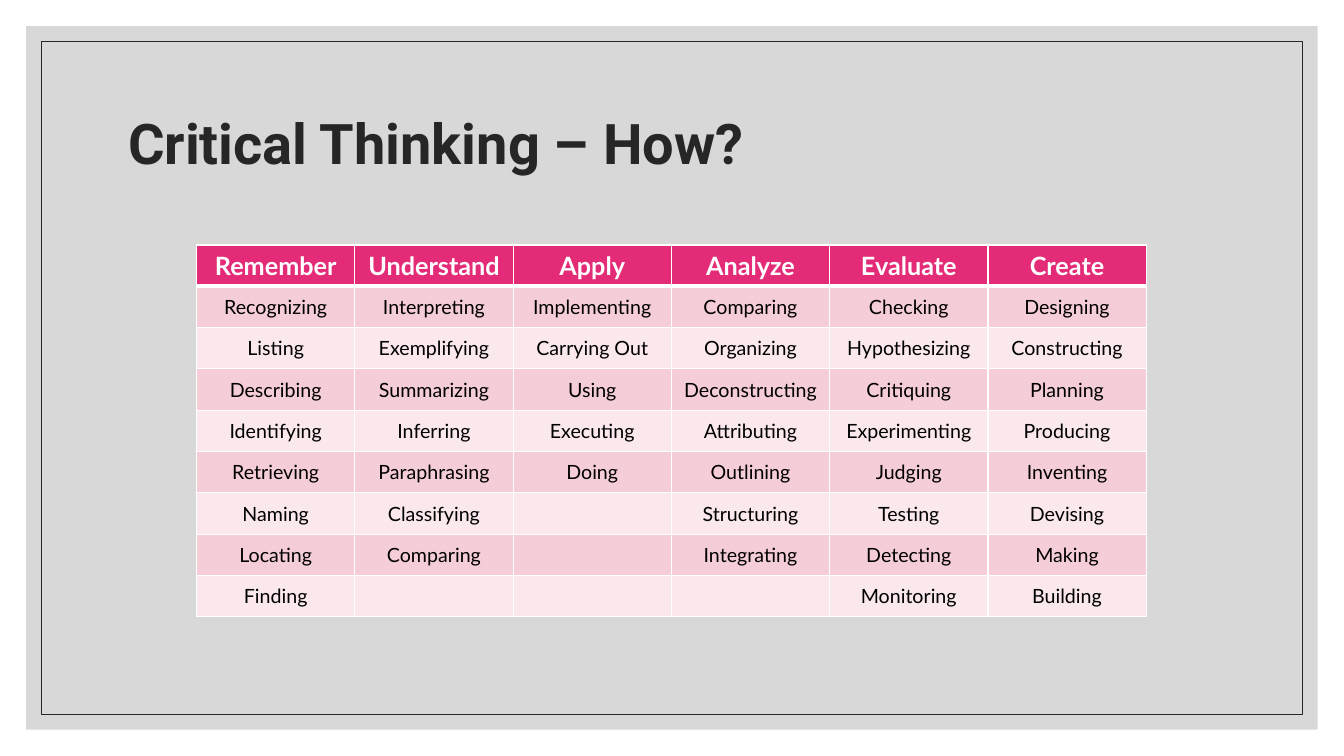
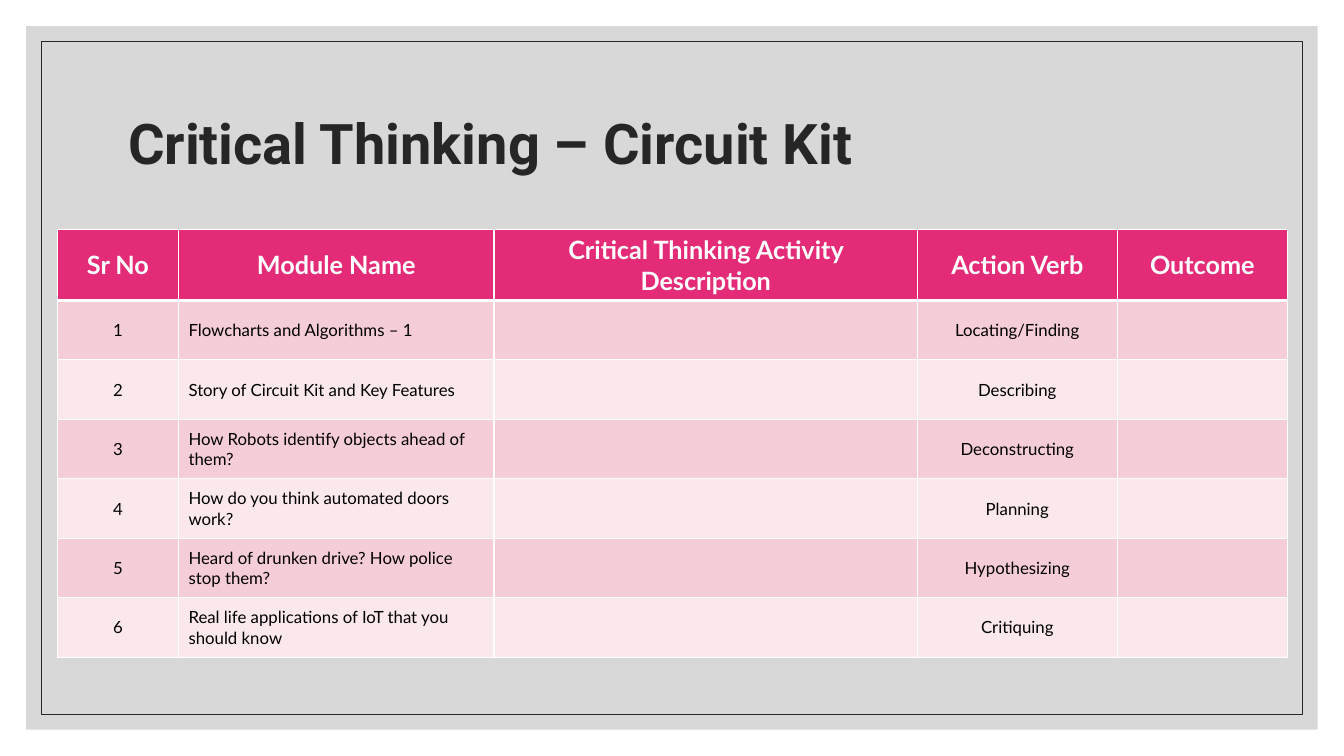
from itertools import zip_longest

from lxml.etree import SubElement
from pptx import Presentation
from pptx.dml.color import RGBColor
from pptx.enum.shapes import MSO_SHAPE as Shape
from pptx.enum.text import MSO_ANCHOR as Anchor, PP_ALIGN as Align
from pptx.oxml.ns import qn
from pptx.util import Inches, Pt

# Palette and fonts
WHITE = RGBColor(0xFF, 0xFF, 0xFF)
BLACK = RGBColor(0x00, 0x00, 0x00)
INK = RGBColor(0x26, 0x26, 0x26)
GREY = RGBColor(0xBF, 0xBF, 0xBF)
PINK = RGBColor(0xE4, 0x2B, 0x77)
BANDS = (RGBColor(0xF5, 0xCD, 0xD6), RGBColor(0xFA, 0xE8, 0xEC))
TITLE_FONT = "Roboto"
BODY_FONT = "Lato"

# Slide content
THINKING_VERBS = {
    "Remember": ["Recognizing", "Listing", "Describing", "Identifying",
                 "Retrieving", "Naming", "Locating", "Finding"],
    "Understand": ["Interpreting", "Exemplifying", "Summarizing", "Inferring",
                   "Paraphrasing", "Classifying", "Comparing"],
    "Apply": ["Implementing", "Carrying Out", "Using", "Executing", "Doing"],
    "Analyze": ["Comparing", "Organizing", "Deconstructing", "Attributing",
                "Outlining", "Structuring", "Integrating"],
    "Evaluate": ["Checking", "Hypothesizing", "Critiquing", "Experimenting",
                 "Judging", "Testing", "Detecting", "Monitoring"],
    "Create": ["Designing", "Constructing", "Planning", "Producing",
               "Inventing", "Devising", "Making", "Building"],
}
MODULE_HEADINGS = ["Sr No", "Module Name",
                   "Critical Thinking Activity Description",
                   "Action Verb", "Outcome"]
MODULES = [
    ("Flowcharts and Algorithms – 1", "Locating/Finding"),
    ("Story of Circuit Kit and Key Features", "Describing"),
    ("How Robots identify objects ahead of them?", "Deconstructing"),
    ("How do you think automated doors work?", "Planning"),
    ("Heard of drunken drive? How police stop them?", "Hypothesizing"),
    ("Real life applications of IoT that you should know", "Critiquing"),
]


class Deck:
    """Holds the shared style and the slide being filled."""

    def __init__(self):
        self.prs = Presentation()
        self.prs.slide_width = Inches(13.33)
        self.prs.slide_height = Inches(7.5)
        self.slide = None

    def add_slide(self, title):
        self.slide = self.prs.slides.add_slide(self.prs.slide_layouts[5])
        self.add_frame()
        self.set_title(title)

    def add_panel(self, inset):
        panel = self.slide.shapes.add_shape(
            Shape.RECTANGLE, Inches(inset), Inches(inset),
            self.prs.slide_width - Inches(2 * inset),
            self.prs.slide_height - Inches(2 * inset))
        panel.shadow.inherit = False
        return panel

    def add_frame(self):
        # Translucent grey panel
        backdrop = self.add_panel(0.26)
        backdrop.fill.solid()
        backdrop.fill.fore_color.rgb = GREY
        backdrop.line.fill.background()
        grey = next(backdrop.element.iter(qn("a:srgbClr")))
        SubElement(grey, qn("a:alpha")).set("val", "60000")
        # Thin inner outline
        outline = self.add_panel(0.41)
        outline.fill.background()
        outline.line.color.rgb = INK
        outline.line.width = Pt(0.5)

    def set_title(self, text):
        title = self.slide.shapes.title
        title.left, title.top = Inches(1.17), Inches(0.7)
        title.width, title.height = Inches(11), Inches(1.5)
        # Bring the title in front of the frame
        title.element.getparent().append(title.element)
        title.text_frame.vertical_anchor = Anchor.MIDDLE
        title.text_frame.word_wrap = True
        paragraph = title.text_frame.paragraphs[0]
        paragraph.line_spacing = 0.9
        self.add_run(paragraph, text, TITLE_FONT, 40, INK, bold=True)

    def add_run(self, paragraph, text, font, size, color, bold=False,
                align=Align.LEFT):
        paragraph.alignment = align
        run = paragraph.add_run()
        run.text = text
        run.font.name = font
        run.font.size = Pt(size)
        run.font.bold = bold
        run.font.color.rgb = color

    def add_borders(self, cell, top, bottom):
        properties = cell._tc.get_or_add_tcPr()
        for side, width in (("L", 1), ("R", 1), ("T", top), ("B", bottom)):
            border = SubElement(properties, qn(f"a:ln{side}"), w=str(Pt(width)))
            fill = SubElement(border, qn("a:solidFill"))
            SubElement(fill, qn("a:srgbClr"), val=str(WHITE))

    def add_table(self, left, top, widths, heights, rows, size, left_columns=()):
        table = self.slide.shapes.add_table(
            len(rows), len(widths), Inches(left), Inches(top),
            Inches(sum(widths)), Inches(sum(heights))).table
        for column, width in zip(table.columns, widths):
            column.width = Inches(width)
        for r, (height, texts) in enumerate(zip(heights, rows)):
            table.rows[r].height = Inches(height)
            header = r == 0
            for c, text in enumerate(texts):
                cell = table.cell(r, c)
                cell.vertical_anchor = Anchor.MIDDLE
                # The rule under the header is thicker
                self.add_borders(cell, top=3 if r == 1 else 1,
                                 bottom=3 if header else 1)
                cell.fill.solid()
                cell.fill.fore_color.rgb = PINK if header else BANDS[(r - 1) % 2]
                if text:
                    flush_left = c in left_columns and not header
                    self.add_run(cell.text_frame.paragraphs[0], text, BODY_FONT,
                                 18 if header else size,
                                 WHITE if header else BLACK, bold=header,
                                 align=Align.LEFT if flush_left else Align.CENTER)


def main():
    deck = Deck()

    # Verbs for each level of thinking
    deck.add_slide("Critical Thinking – How?")
    verb_rows = [list(THINKING_VERBS),
                 *zip_longest(*THINKING_VERBS.values(), fillvalue="")]
    deck.add_table(1.95, 2.43, [1.57] * len(THINKING_VERBS),
                   [0.41] * len(verb_rows), verb_rows, size=14)

    # Course modules and their verbs
    deck.add_slide("Critical Thinking – Circuit Kit")
    module_rows = [MODULE_HEADINGS] + [
        (str(number), module, "", verb, "")
        for number, (module, verb) in enumerate(MODULES, start=1)]
    deck.add_table(0.57, 2.28, [1.2, 3.13, 4.2, 1.98, 1.69],
                   [0.7] + [0.59] * len(MODULES), module_rows, size=12,
                   left_columns=(1,))

    deck.prs.save("out.pptx")


if __name__ == "__main__":
    main()
